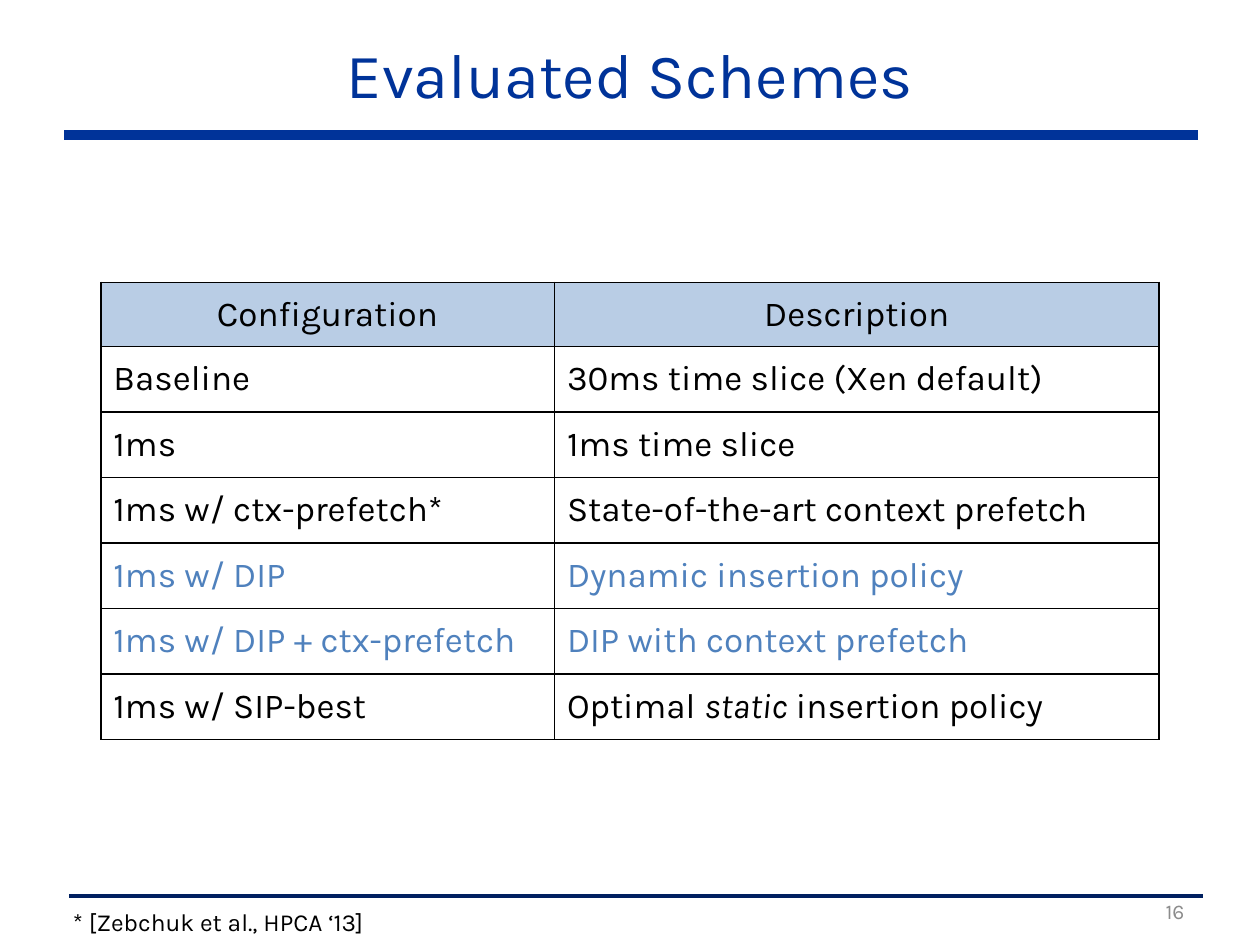
from dataclasses import dataclass

from lxml.etree import SubElement
from pptx import Presentation
from pptx.dml.color import RGBColor
from pptx.enum.dml import MSO_FILL
from pptx.enum.shapes import MSO_CONNECTOR
from pptx.enum.text import MSO_ANCHOR, MSO_AUTO_SIZE, PP_ALIGN
from pptx.oxml.ns import qn
from pptx.slide import Slide
from pptx.table import _Cell
from pptx.text.text import _Paragraph
from pptx.util import Inches, Pt

BLACK = RGBColor(0x00, 0x00, 0x00)
TITLE_BLUE = RGBColor(0x00, 0x33, 0x99)
NAVY = RGBColor(0x00, 0x20, 0x60)
HEADER_BLUE = RGBColor(0xB9, 0xCD, 0xE5)
ACCENT_BLUE = RGBColor(0x4F, 0x81, 0xBD)
GREY = RGBColor(0x8C, 0x8C, 0x8C)
FONT = "Karla"
BORDER_WIDTH = Pt(1)


@dataclass(frozen=True)
class Rule:
    left: float
    top: float
    color: RGBColor
    weight: float
    length: float = 9


@dataclass(frozen=True)
class Label:
    text: str
    box: tuple[float, float, float, float]
    size: int
    color: RGBColor
    align: PP_ALIGN = PP_ALIGN.LEFT
    anchor: MSO_ANCHOR = MSO_ANCHOR.MIDDLE
    wrap: bool = True
    auto_size: MSO_AUTO_SIZE = MSO_AUTO_SIZE.NONE


@dataclass(frozen=True)
class Scheme:
    configuration: str
    description: tuple[str, ...]
    color: RGBColor = BLACK


RULES = (
    Rule(0.55, 7.11, NAVY, 2.25),
    Rule(0.51, 1.07, TITLE_BLUE, 6),
)
LABELS = (
    Label("Evaluated Schemes", (0.5, 0.16, 9, 0.84), 36, TITLE_BLUE, PP_ALIGN.CENTER),
    Label("* [Zebchuk et al., HPCA ‘13]", (0.48, 7.15, 2.65, 0.34), 14, BLACK,
          anchor=MSO_ANCHOR.TOP, wrap=False, auto_size=MSO_AUTO_SIZE.SHAPE_TO_FIT_TEXT),
    Label("16", (7.17, 7.11, 2.33, 0.24), 12, GREY, PP_ALIGN.RIGHT),
)
SCHEMES = (
    Scheme("Baseline", ("30ms time slice (Xen default)",)),
    Scheme("1ms", ("1ms time slice",)),
    Scheme("1ms w/ ctx-prefetch*", ("State-of-the-art context prefetch",)),
    Scheme("1ms w/ DIP", ("Dynamic insertion policy",), ACCENT_BLUE),
    Scheme("1ms w/ DIP + ctx-prefetch", ("DIP with context prefetch",), ACCENT_BLUE),
    Scheme("1ms w/ SIP-best", ("Optimal ", "static", " insertion policy")),
)
COLUMN_WIDTHS = (3.6, 4.8)
HEADER_HEIGHT = 0.51
ROW_HEIGHT = 0.52


def add_run(paragraph: _Paragraph, text: str, size: int, color: RGBColor,
            italic: bool = False) -> None:
    run = paragraph.add_run()
    run.text = text
    font_format = {"name": FONT, "size": Pt(size), "bold": False, "italic": italic}
    for attribute, value in font_format.items():
        setattr(run.font, attribute, value)
    run.font.color.rgb = color


def draw_rule(slide: Slide, rule: Rule) -> None:
    line = slide.shapes.add_connector(
        MSO_CONNECTOR.STRAIGHT, Inches(rule.left), Inches(rule.top),
        Inches(rule.left + rule.length), Inches(rule.top))
    line.line.color.rgb = rule.color
    line.line.width = Pt(rule.weight)
    SubElement(line._element.spPr, qn("a:effectLst"))


def draw_label(slide: Slide, label: Label) -> None:
    frame = slide.shapes.add_textbox(*map(Inches, label.box)).text_frame
    frame_format = {"word_wrap": label.wrap, "auto_size": label.auto_size,
                    "vertical_anchor": label.anchor}
    for attribute, value in frame_format.items():
        setattr(frame, attribute, value)
    paragraph = frame.paragraphs[0]
    paragraph.alignment = label.align
    add_run(paragraph, label.text, label.size, label.color)


def add_borders(cell: _Cell) -> None:
    properties = cell._tc.get_or_add_tcPr()
    for side in ("a:lnL", "a:lnR", "a:lnT", "a:lnB"):
        border = SubElement(properties, qn(side), w=str(BORDER_WIDTH))
        fill = SubElement(border, qn("a:solidFill"))
        SubElement(fill, qn("a:srgbClr"), val=str(BLACK))


def fill_cell(cell: _Cell, parts: tuple[str, ...], color: RGBColor,
              header: bool = False) -> None:
    add_borders(cell)
    cell.vertical_anchor = MSO_ANCHOR.MIDDLE
    if header:
        cell.fill.solid()
        cell.fill.fore_color.rgb = HEADER_BLUE
    else:
        cell.fill.background()
    paragraph = cell.text_frame.paragraphs[0]
    paragraph.alignment = PP_ALIGN.CENTER if header else PP_ALIGN.LEFT
    for index, part in enumerate(parts):
        add_run(paragraph, part, 20, color, italic=index % 2 == 1)


def draw_schemes(slide: Slide) -> None:
    height = HEADER_HEIGHT + ROW_HEIGHT * len(SCHEMES)
    table = slide.shapes.add_table(
        len(SCHEMES) + 1, len(COLUMN_WIDTHS), Inches(0.8), Inches(2.24),
        Inches(sum(COLUMN_WIDTHS)), Inches(height)).table
    for column, width in zip(table.columns, COLUMN_WIDTHS):
        column.width = Inches(width)
    for index, row in enumerate(table.rows):
        row.height = Inches(ROW_HEIGHT if index else HEADER_HEIGHT)
    for column, heading in enumerate(("Configuration", "Description")):
        fill_cell(table.cell(0, column), (heading,), BLACK, header=True)
    for row, scheme in enumerate(SCHEMES, start=1):
        fill_cell(table.cell(row, 0), (scheme.configuration,), scheme.color)
        fill_cell(table.cell(row, 1), scheme.description, scheme.color)


def main() -> None:
    presentation = Presentation()
    presentation.slide_width = Inches(10)
    presentation.slide_height = Inches(7.5)
    slide = presentation.slides.add_slide(presentation.slide_layouts[6])
    for rule in RULES:
        draw_rule(slide, rule)
    draw_schemes(slide)
    for label in LABELS:
        draw_label(slide, label)
    presentation.save("out.pptx")


if __name__ == "__main__":
    main()
